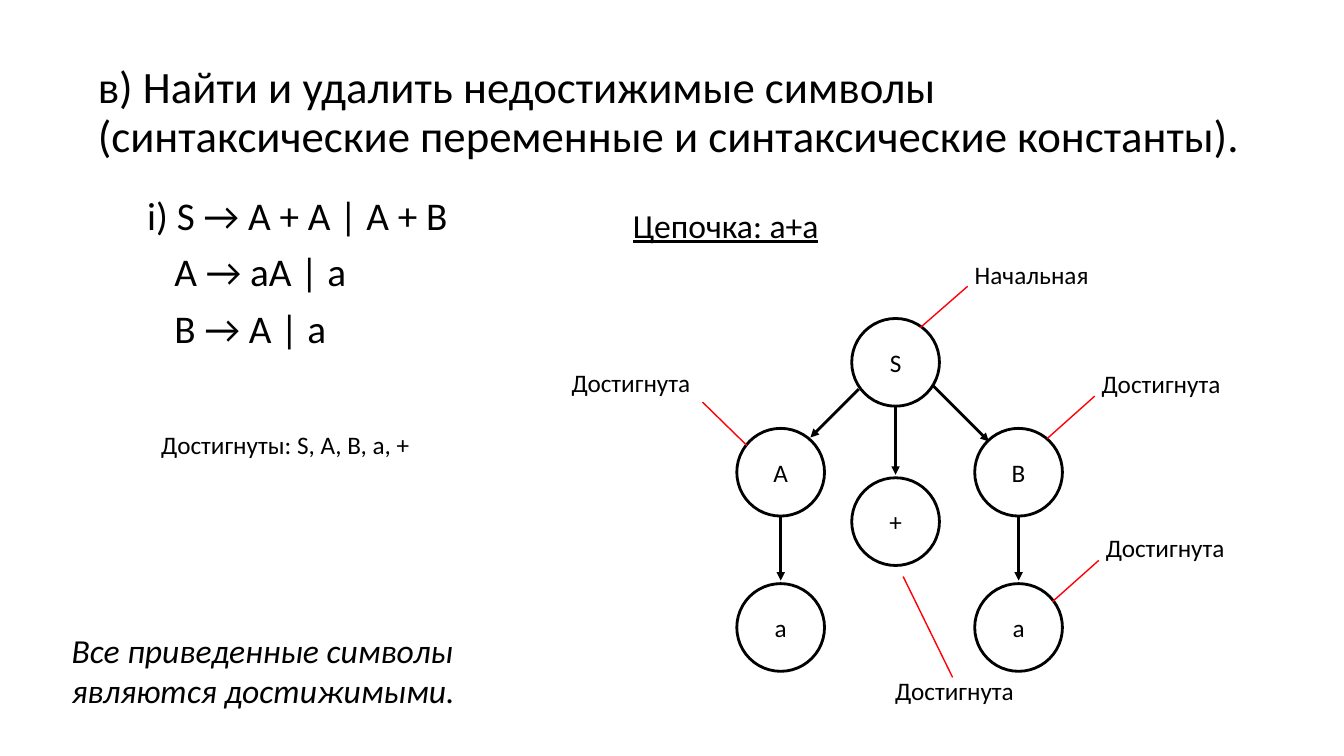
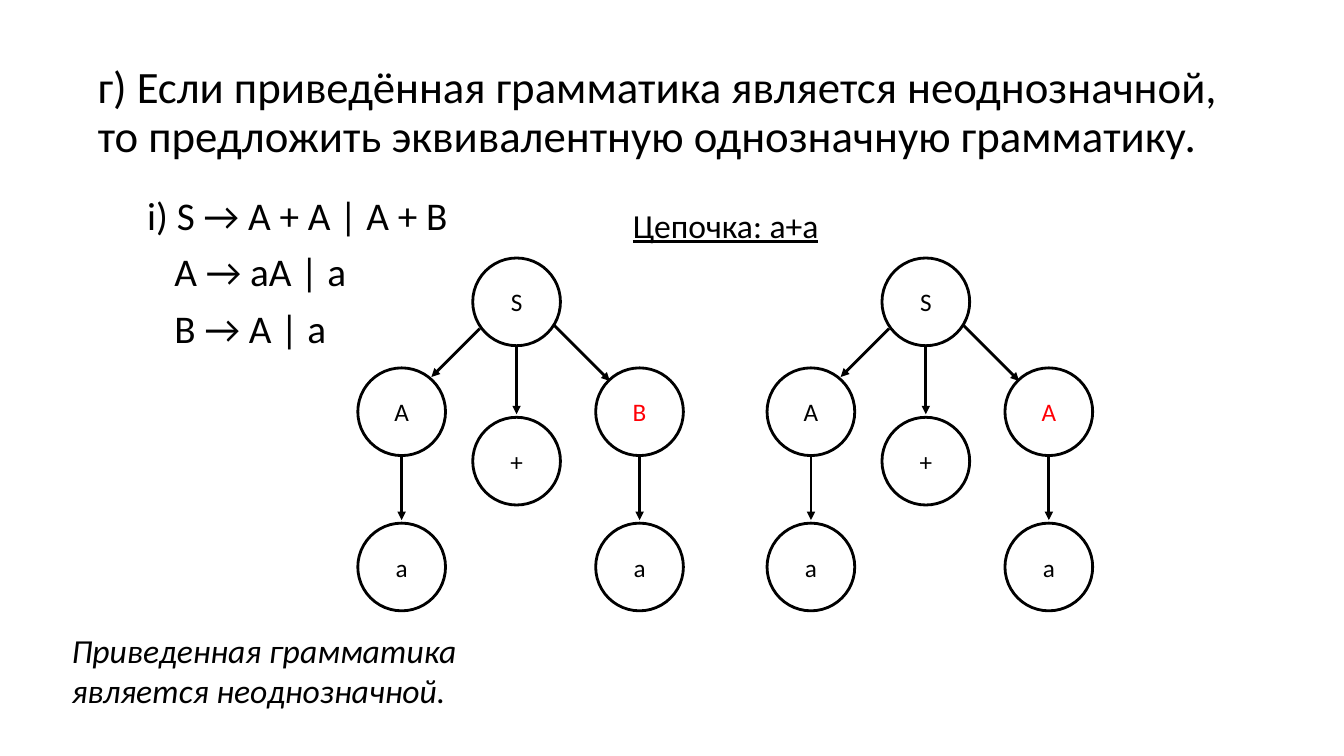
import pptx
import pptx.util
import pptx.dml.color
import pptx.enum.shapes
import pptx.enum.text
import pptx.oxml
import pptx.oxml.ns

FONT = "Calibri"
BLACK, WHITE, RED = "000000", "FFFFFF", "FF0006"
MID = pptx.enum.text.MSO_ANCHOR.MIDDLE
TOP = pptx.enum.text.MSO_ANCHOR.TOP
LEFT = pptx.enum.text.PP_ALIGN.LEFT
CENTER = pptx.enum.text.PP_ALIGN.CENTER

# All lengths are cells of a grid with ten cells to the inch.
WIDE, HIGH = 133.33, 75
NODE = 8.7
COLS = (0, 11.4, 23.6)
ROWS = (0, 10.9, 15.8, 26.3)
RULES = (("i) S → A + A | A + B", 2.5), ("A → aA | a", 5.2), ("B → A | a", 5.2))
REACHED = "Достигнута"
# Label, its corner, and both ends of its pointer, from the corner of the tree.
NOTES = (
    ("Начальная", (23.1, -6.4), (18.2, 0.9), (22.9, -3.2)),
    (REACHED, (35.7, 4.5), (30.8, 11.9), (35.5, 7.7)),
    (REACHED, (36.1, 20.7), (31.3, 28.1), (35.9, 24)),
    (REACHED, (-16.9, 4.3), (1, 12.6), (-3.4, 8.3)),
    (REACHED, (15.2, 34.9), (21.4, 35.6), (16.5, 25.6)),
)


def cell(count):
    return pptx.util.Inches(count / 10)


def cells(*counts):
    return [cell(count) for count in counts]


def paint(color, tone):
    color.rgb = pptx.dml.color.RGBColor.from_string(tone)


def write(shape, lines, size, tone=BLACK, anchor=TOP, align=LEFT, pad=0.5, **style):
    """Fill a shape with lines of text; style holds further font settings."""
    frame = shape.text_frame
    frame.text = "\n".join(lines)
    frame.word_wrap = True
    frame.auto_size = pptx.enum.text.MSO_AUTO_SIZE.NONE
    frame.vertical_anchor = anchor
    frame.margin_left = frame.margin_right = cell(pad)
    frame.margin_top = frame.margin_bottom = cell(pad)
    for para in frame.paragraphs:
        para.alignment = align
        for run in para.runs:
            run.font.name = FONT
            run.font.size = pptx.util.Pt(size)
            paint(run.font.color, tone)
            for key, value in style.items():
                setattr(run.font, key, value)
    return frame


def label(slide, box, lines, size, **style):
    return write(slide.shapes.add_textbox(*cells(*box)), lines, size, **style)


def link(slide, start, end, tone=BLACK, width=2, arrow=True):
    line = slide.shapes.add_connector(
        pptx.enum.shapes.MSO_CONNECTOR.STRAIGHT, *cells(*start, *end))
    paint(line.line.color, tone)
    line.line.width = pptx.util.Pt(width)
    if arrow:
        tail = pptx.oxml.parse_xml(
            f'<a:tailEnd {pptx.oxml.ns.nsdecls("a")} type="triangle"/>')
        line.line._get_or_add_ln().append(tail)
    line._element.spPr.append(
        pptx.oxml.parse_xml(f'<a:effectLst {pptx.oxml.ns.nsdecls("a")}/>'))


def node(slide, left, top, text, tone):
    shape = slide.shapes.add_shape(
        pptx.enum.shapes.MSO_SHAPE.OVAL, *cells(left, top, NODE, NODE))
    shape.shadow.inherit = False
    shape.fill.solid()
    paint(shape.fill.fore_color, WHITE)
    paint(shape.line.color, BLACK)
    shape.line.width = pptx.util.Pt(2)
    write(shape, [text], 18, tone, MID, CENTER, 0)


def tree(slide, left, top, right="B", tone=BLACK):
    """Draw the parse tree; right names its right branch, tone colours it."""
    for text, col, row, color in (
            ("S", 1, 0, BLACK), ("A", 0, 1, BLACK), (right, 2, 1, tone),
            ("+", 1, 2, BLACK), ("a", 0, 3, BLACK), ("a", 2, 3, BLACK)):
        node(slide, left + COLS[col], top + ROWS[row], text, color)
    for col, upper, lower in ((0, 1, 3), (1, 0, 2), (2, 1, 3)):
        x = left + COLS[col] + NODE / 2
        link(slide, (x, top + ROWS[upper] + NODE), (x, top + ROWS[lower] - 0.3))
    link(slide, (left + 12.1, top + 7), (left + 7.3, top + 11.8))
    link(slide, (left + 19.4, top + 6.6), (left + 25, top + 12.2))


def notes(slide, left, top):
    for text, corner, start, end in NOTES:
        label(slide, (left + corner[0], top + corner[1], 16, 3.6), [text], 18)
        link(slide, (left + start[0], top + start[1]),
             (left + end[0], top + end[1]), RED, 1, False)


def rules(slide, left, top):
    frame = label(slide, (left, top, 34.8, 16.7), [text for text, _ in RULES], 28)
    for place, (para, (_, indent)) in enumerate(zip(frame.paragraphs, RULES)):
        para.line_spacing = 0.9
        if place:
            para.space_before = pptx.util.Pt(10)
        para._p.get_or_add_pPr().set("marL", str(cell(indent)))


def page(deck, title, result):
    """Add a slide with the title, grammar, chain and conclusion."""
    slide = deck.slides.add_slide(deck.slide_layouts[5])
    head = slide.shapes.title
    head.left, head.top, head.width, head.height = cells(9.2, 4, 115, 14.5)
    write(head, [title], 32, anchor=MID).paragraphs[0].line_spacing = 0.9
    rules(slide, 11.6, 19)
    label(slide, (62.3, 19.8, 22, 4.3), ["Цепочка: a+a"], 24, underline=True)
    label(slide, (6.6, 62, 42, 8.3), result, 24, italic=True)
    return slide


def main():
    deck = pptx.Presentation()
    deck.slide_width, deck.slide_height = cells(WIDE, HIGH)

    slide = page(
        deck,
        "в) Найти и удалить недостижимые символы "
        "(синтаксические переменные и синтаксические константы).",
        ["Все приведенные символы", "являются достижимыми."])
    label(slide, (15.5, 42.1, 28, 4), ["Достигнуты: S, A, B, a, +"], 18)
    tree(slide, 73.1, 31.6)
    notes(slide, 73.1, 31.6)

    slide = page(
        deck,
        "г) Если приведённая грамматика является неоднозначной, "
        "то предложить эквивалентную однозначную грамматику.",
        ["Приведенная грамматика", "является неоднозначной."])
    for left, right in ((35.5, "B"), (76.1, "A")):
        tree(slide, left, 25.6, right, RED)

    deck.save("out.pptx")


if __name__ == "__main__":
    main()
